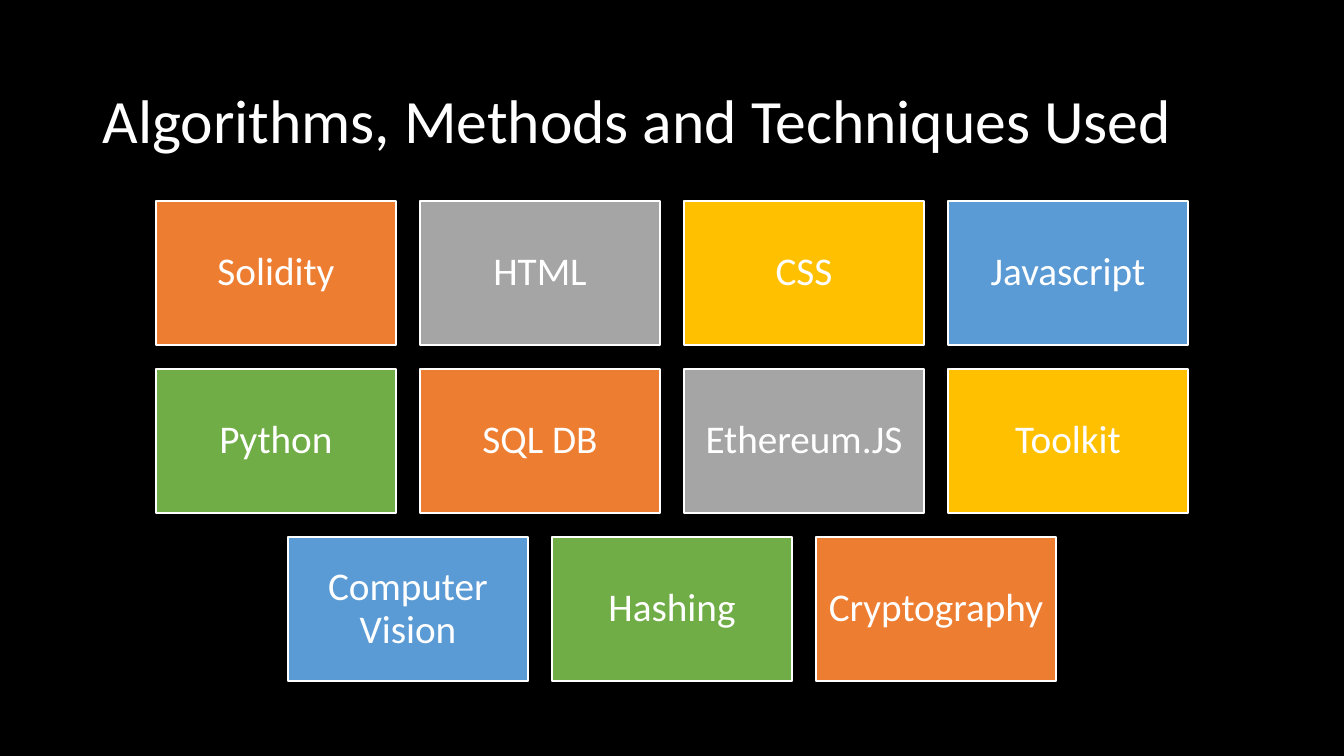
from dataclasses import dataclass

from pptx import Presentation
from pptx.dml.color import RGBColor
from pptx.enum.shapes import MSO_SHAPE
from pptx.enum.text import MSO_ANCHOR, MSO_AUTO_SIZE, PP_ALIGN
from pptx.util import Pt

RECT = MSO_SHAPE.RECTANGLE
MIDDLE = MSO_ANCHOR.MIDDLE
NO_FIT = MSO_AUTO_SIZE.NONE
LEFT, CENTER = PP_ALIGN.LEFT, PP_ALIGN.CENTER

# Palette
BLACK, WHITE = "000000", "FFFFFF"
ORANGE, GRAY, GOLD, BLUE, GREEN = "ED7D31", "A5A5A5", "FFC000", "5B9BD5", "70AD47"
CYCLE = [ORANGE, GRAY, GOLD, BLUE, GREEN]

# Tile grid, in points
SLIDE_W, SLIDE_H = 960, 540
TILE_W, TILE_H, GAP = 171.43, 102.86, 17.14
GRID_TOP, INSET = 143.7, 8.4

TILE_ROWS = [
    ["Solidity", "HTML", "CSS", "Javascript"],
    ["Python", "SQL DB", "Ethereum.JS", "Toolkit"],
    ["Computer Vision", "Hashing", "Cryptography"],
]


@dataclass
class Tile:
    text: str
    color: str
    left: float
    top: float


def rgb(value: str) -> RGBColor:
    return RGBColor.from_string(value)


def set_attrs(target, values: dict) -> None:
    for name, value in values.items():
        setattr(target, name, value)


def write_text(sp, text: str, size: float, align, inset: float | None = None) -> None:
    tf = sp.text_frame
    set_attrs(tf, {"word_wrap": True, "auto_size": NO_FIT, "vertical_anchor": MIDDLE})
    if inset is not None:
        sides = ("left", "top", "right", "bottom")
        set_attrs(tf, {f"margin_{side}": Pt(inset) for side in sides})
    p = tf.paragraphs[0]
    set_attrs(p, {"alignment": align, "line_spacing": 0.9})
    r = p.add_run()
    r.text = text
    set_attrs(r.font, {"name": "Calibri", "size": Pt(size)})
    r.font.color.rgb = rgb(WHITE)


def layout_tiles() -> list[Tile]:
    """Centre each row on the slide and cycle through the colours."""
    tiles = []
    for row, names in enumerate(TILE_ROWS):
        row_w = len(names) * (TILE_W + GAP) - GAP
        for col, name in enumerate(names):
            tiles.append(Tile(
                name,
                CYCLE[len(tiles) % len(CYCLE)],
                (SLIDE_W - row_w) / 2 + col * (TILE_W + GAP),
                GRID_TOP + row * (TILE_H + GAP),
            ))
    return tiles


def draw_tile(s, tile: Tile) -> None:
    sp = s.shapes.add_shape(RECT, Pt(tile.left), Pt(tile.top), Pt(TILE_W), Pt(TILE_H))
    sp.shadow.inherit = False
    sp.fill.solid()
    sp.fill.fore_color.rgb = rgb(tile.color)
    sp.line.color.rgb = rgb(WHITE)
    sp.line.width = Pt(1)
    write_text(sp, tile.text, 28, CENTER, INSET)


def main() -> None:
    prs = Presentation()
    set_attrs(prs, {"slide_width": Pt(SLIDE_W), "slide_height": Pt(SLIDE_H)})
    s = prs.slides.add_slide(prs.slide_layouts[5])

    # Background
    s.background.fill.solid()
    s.background.fill.fore_color.rgb = rgb(BLACK)

    # Title
    title = s.shapes.title
    set_attrs(title, {"left": Pt(66), "top": Pt(44), "width": Pt(828), "height": Pt(89)})
    write_text(title, "Algorithms, Methods and Techniques Used", 44, LEFT)

    # Technology tiles
    for tile in layout_tiles():
        draw_tile(s, tile)

    prs.save("out.pptx")


if __name__ == "__main__":
    main()
